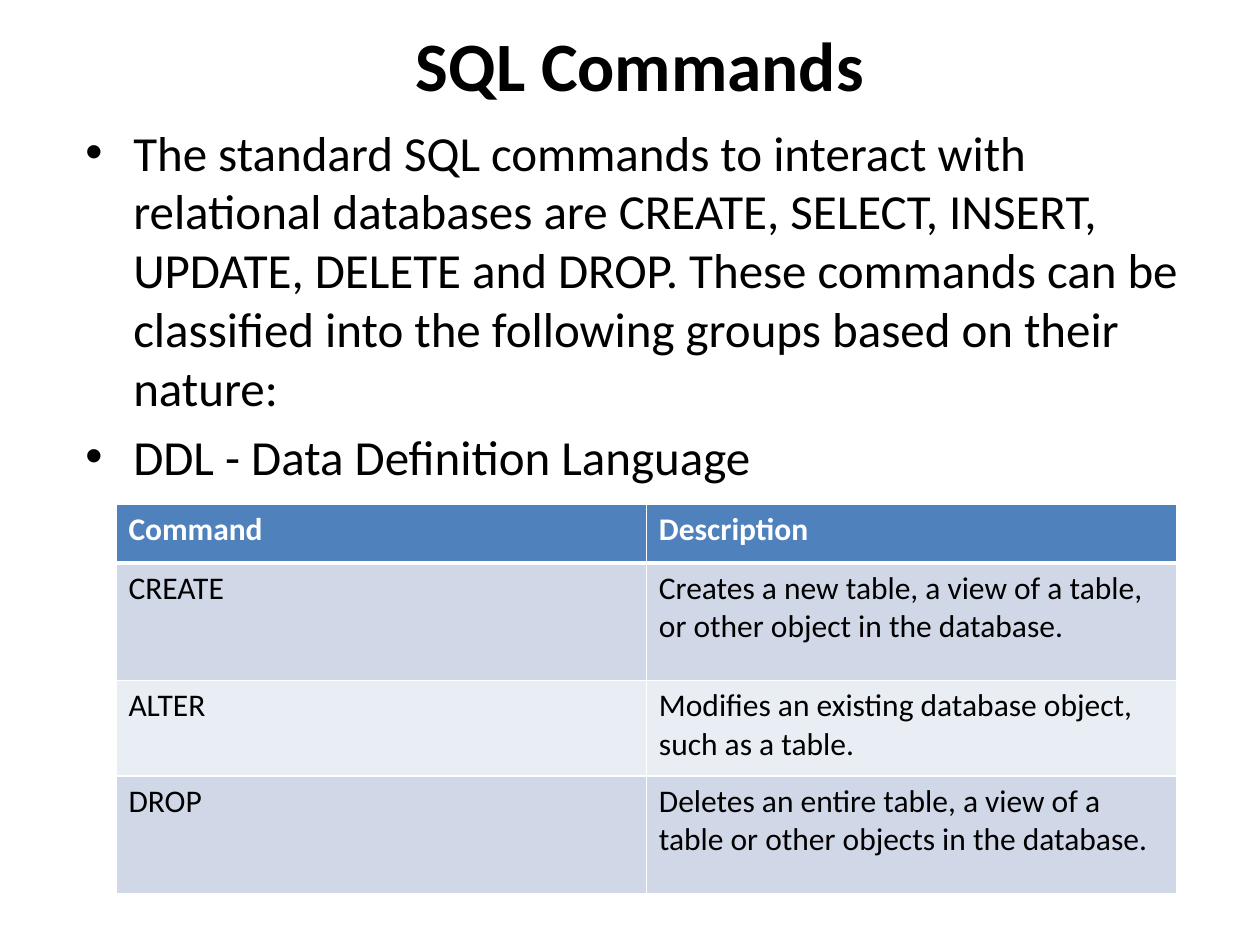
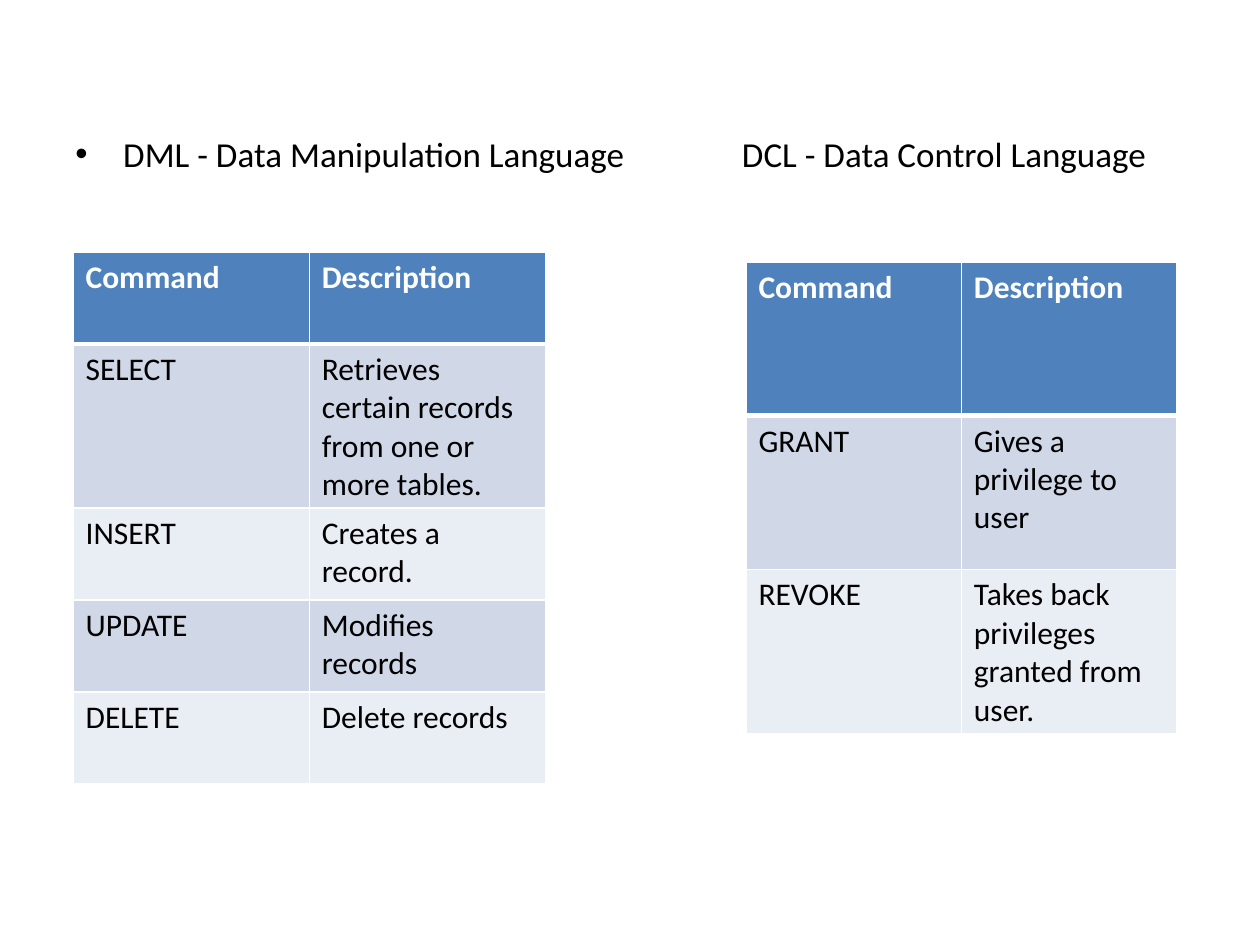
import pptx
import pptx.util
import pptx.dml.color
import pptx.enum.text
import pptx.oxml.ns
import lxml.etree

Inches, Pt = pptx.util.Inches, pptx.util.Pt
RGB = pptx.dml.color.RGBColor
PP = pptx.enum.text.PP_ALIGN
ANCHOR = pptx.enum.text.MSO_ANCHOR

BLACK = RGB(0x00, 0x00, 0x00)
WHITE = RGB(0xFF, 0xFF, 0xFF)
BLUE = RGB(0x4F, 0x81, 0xBD)
BANDS = RGB(0xD0, 0xD8, 0xE8), RGB(0xE9, 0xED, 0xF4)
FONT = "Calibri"
HEAD = ("Command", "Description")

DDL = [
    ("CREATE", "Creates a new table, a view of a table, or other object in the database."),
    ("ALTER", "Modifies an existing database object, such as a table."),
    ("DROP", "Deletes an entire table, a view of a table or other objects in the database."),
]
DML = [
    ("SELECT", "Retrieves certain records from one or more tables."),
    ("INSERT", "Creates a record."),
    ("UPDATE", "Modifies records"),
    ("DELETE", "Delete records"),
]
DCL = [
    ("GRANT", "Gives a privilege to user"),
    ("REVOKE", "Takes back privileges granted from user."),
]
INTRO = (
    "The standard SQL commands to interact with relational databases are "
    "CREATE, SELECT, INSERT, UPDATE, DELETE and DROP. These commands can be "
    "classified into the following groups based on their nature:"
)


def add_node(parent, tag, **attrs):
    """Append a DrawingML element to parent and return it."""
    return lxml.etree.SubElement(parent, pptx.oxml.ns.qn(tag), **attrs)


def style(para, size, color=BLACK, bold=False):
    """Format every run of a paragraph."""
    for run in para.runs:
        font = run.font
        font.name, font.size, font.bold = FONT, Pt(size), bold
        font.color.rgb = color


def add_text(slide, box, lines, size, bold=False, bullet=False):
    """Add a wrapped text box with one paragraph per line."""
    frame = slide.shapes.add_textbox(*map(Inches, box)).text_frame
    frame.word_wrap = True
    frame.text = "\n".join(lines)
    for para in frame.paragraphs:
        style(para, size, bold=bold)
        para.space_before = Pt(0.2 * size)
        if bullet:
            props = para._p.get_or_add_pPr()
            props.set("marL", str(Inches(0.38)))
            props.set("indent", str(-Inches(0.38)))
            add_node(props, "a:buFont", typeface="Arial")
            add_node(props, "a:buChar", char="•")
    return frame


def add_title(slide, text):
    """Add the centred bold slide title."""
    frame = add_text(slide, (0.58, 0.17, 9, 0.67), [text], 39.6, bold=True)
    frame.vertical_anchor = ANCHOR.MIDDLE
    frame.paragraphs[0].alignment = PP.CENTER


def add_edges(cell, row):
    """Draw white cell borders, thick between the header and the body."""
    props = cell._tc.get_or_add_tcPr()
    thick = {"a:lnB": row == 0, "a:lnT": row == 1}
    for tag in ("a:lnL", "a:lnR", "a:lnT", "a:lnB"):
        width = Pt(3 if thick.get(tag) else 1)
        line = add_node(props, tag, w=str(width))
        add_node(add_node(line, "a:solidFill"), "a:srgbClr", val=str(WHITE))


def add_grid(slide, left, top, width, heights, body):
    """Add a command table with two equal columns and banded rows."""
    rows = [HEAD] + body
    table = slide.shapes.add_table(
        len(rows), len(HEAD), Inches(left), Inches(top),
        Inches(width), Inches(sum(heights))
    ).table
    for r, (texts, height) in enumerate(zip(rows, heights)):
        table.rows[r].height = Inches(height)
        for c, text in enumerate(texts):
            cell = table.cell(r, c)
            cell.text = text
            style(cell.text_frame.paragraphs[0], 18,
                  BLACK if r else WHITE, bold=r == 0)
            add_edges(cell, r)
            cell.fill.solid()
            cell.fill.fore_color.rgb = BANDS[(r - 1) % 2] if r else BLUE


def main():
    """Build both slides and save the deck."""
    deck = pptx.Presentation()
    deck.slide_width, deck.slide_height = Inches(10), Inches(7.5)
    blank = deck.slide_layouts[6]

    slide = deck.slides.add_slide(blank)
    add_title(slide, "SQL Commands")
    add_text(slide, (0.58, 0.92, 9, 6.33),
             [INTRO, "DDL - Data Definition Language"], 28, bullet=True)
    add_grid(slide, 0.92, 4, 8.42, [0.47, 0.93, 0.76, 0.93], DDL)

    slide = deck.slides.add_slide(blank)
    add_text(slide, (0.5, 1, 5, 0.5),
             ["DML - Data Manipulation Language"], 20, bullet=True)
    add_text(slide, (5.79, 1, 3.71, 0.5), ["DCL - Data Control Language"], 20)
    add_grid(slide, 0.58, 2, 3.75, [0.73, 1.26] + [0.73] * 3, DML)
    add_grid(slide, 5.92, 2.08, 3.42, [1.22] * 3, DCL)

    deck.save("out.pptx")


if __name__ == "__main__":
    main()
